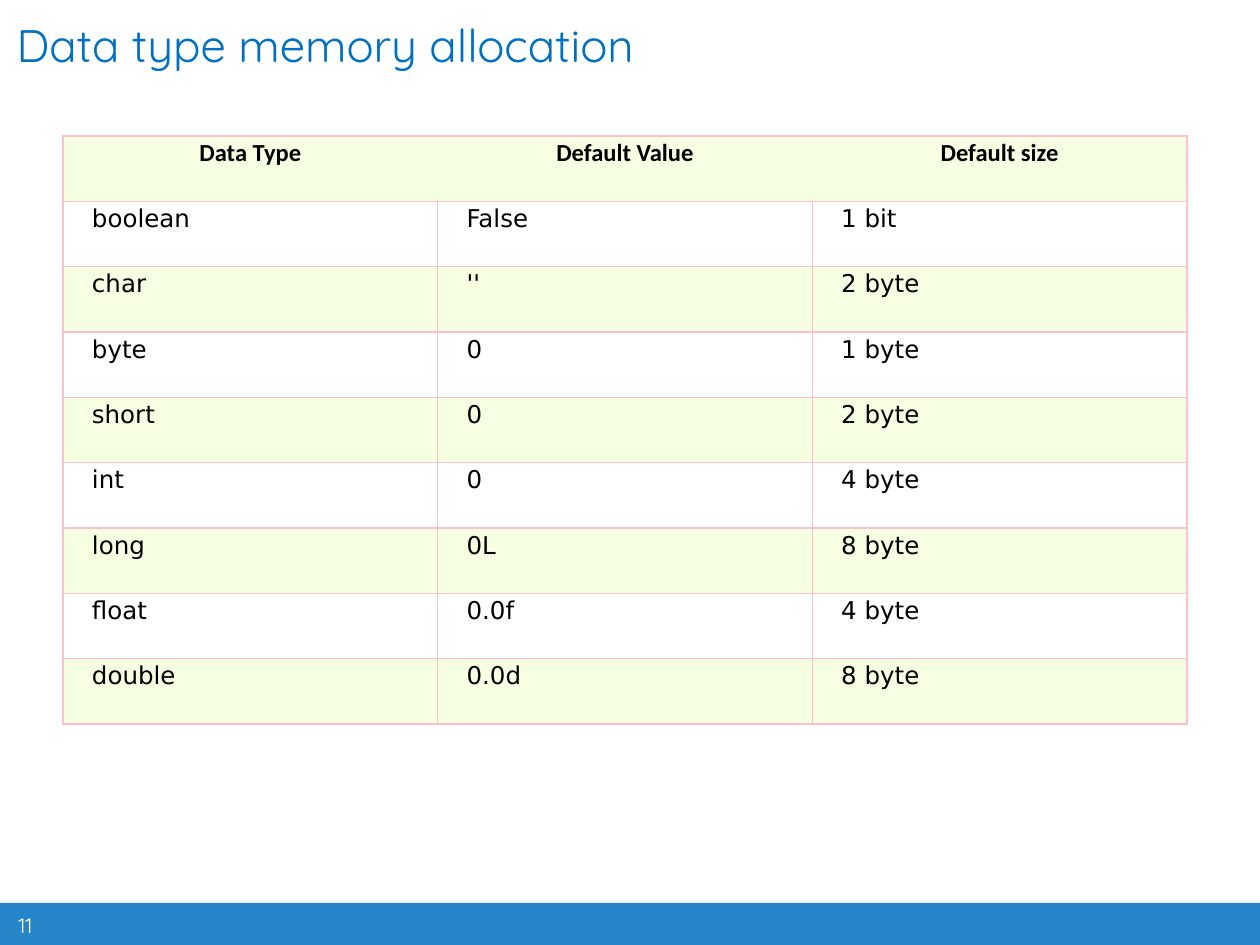
from lxml.etree import SubElement
from pptx import Presentation
from pptx.dml.color import RGBColor
from pptx.enum.shapes import MSO_SHAPE
from pptx.enum.text import MSO_ANCHOR, PP_ALIGN
from pptx.oxml.ns import qn
from pptx.util import Pt

PX = 914400 // 126
TITLE = "Data type memory allocation"
PAGE = "11"
ROWS = [
    ("Data Type", "Default Value", "Default size"),
    ("boolean", "False", "1 bit"),
    ("char", "''", "2 byte"),
    ("byte", "0", "1 byte"),
    ("short", "0", "2 byte"),
    ("int", "0", "4 byte"),
    ("long", "0L", "8 byte"),
    ("float", "0.0f", "4 byte"),
    ("double", "0.0d", "8 byte"),
]
BLUE, PINK, GREEN, WHITE, BLACK = "0070C0", "FFC0CB", "F6FFE1", "FFFFFF", "000000"
TITLE_BOX = (4, 4, 1250, 81)
PAGE_BOX = (6, 900, 108, 50)
FOOTER_BOX = (0, 903, 1260, 42)
TABLE_BOX = (63, 136, 1124, 588)


def px(*lengths):
    """Convert picture pixels to EMU."""
    return [n * PX for n in lengths]


def rgb(color):
    """Turn a hex string into a colour."""
    return RGBColor.from_string(color)


def add_run(p, text, size, font, color, bold=False):
    """Add one formatted run to a paragraph."""
    r = p.add_run()
    r.text = text
    r.font.size, r.font.name, r.font.bold = Pt(size), font, bold
    r.font.color.rgb = rgb(color)


def add_border(cell, side, color):
    """Draw one side of a cell, or hide it when no colour is given."""
    ln = SubElement(cell._tc.get_or_add_tcPr(), qn(f"a:ln{side}"), w=str(Pt(1)))
    if color:
        SubElement(SubElement(ln, qn("a:solidFill")), qn("a:srgbClr"), val=color)
    else:
        SubElement(ln, qn("a:noFill"))


def fill_cell(cell, text, row, col):
    """Format one table cell and write its text."""
    header, last = row == 0, len(ROWS[0]) - 1
    hidden = {"L": header and col > 0, "R": header and col < last}
    for side in "LRTB":
        add_border(cell, side, None if hidden.get(side) else PINK)
    cell.fill.solid()
    cell.fill.fore_color.rgb = rgb(WHITE if row % 2 else GREEN)
    margin = px(6)[0]
    cell.margin_left = cell.margin_right = margin
    cell.margin_top = cell.margin_bottom = margin
    p = cell.text_frame.paragraphs[0]
    p.line_spacing, p.space_after = Pt(14.9), Pt(10)
    if header:
        p.alignment = PP_ALIGN.CENTER
    else:
        p._p.get_or_add_pPr().set("marL", str(px(23)[0]))
    add_run(p, text, 14, "Calibri" if header else "DejaVu Sans", BLACK, header)


prs = Presentation()
prs.slide_width, prs.slide_height = px(1260, 945)
s = prs.slides.add_slide(prs.slide_layouts[5])

footer = s.shapes.add_shape(MSO_SHAPE.RECTANGLE, *px(*FOOTER_BOX))
footer.shadow.inherit = False
footer.line.fill.background()
footer.fill.solid()
footer.fill.fore_color.rgb = rgb(BLUE)
tint = footer.fill._xPr.find(qn("a:solidFill"))[0]
SubElement(tint, qn("a:alpha"), val="85000")

title = s.shapes.title
title.left, title.top, title.width, title.height = px(*TITLE_BOX)
title.text_frame.vertical_anchor = MSO_ANCHOR.MIDDLE
p = title.text_frame.paragraphs[0]
p.alignment, p.space_before = PP_ALIGN.LEFT, Pt(15)
add_run(p, TITLE, 26, "Quicksand", BLUE)

page = s.shapes.add_textbox(*px(*PAGE_BOX))
page.text_frame.word_wrap = True
page.text_frame.vertical_anchor = MSO_ANCHOR.MIDDLE
add_run(page.text_frame.paragraphs[0], PAGE, 12, "Quicksand", WHITE)

table = s.shapes.add_table(len(ROWS), len(ROWS[0]), *px(*TABLE_BOX)).table
table.first_row = table.horz_banding = False
for row, texts in enumerate(ROWS):
    for col, text in enumerate(texts):
        fill_cell(table.cell(row, col), text, row, col)

prs.save("out.pptx")
